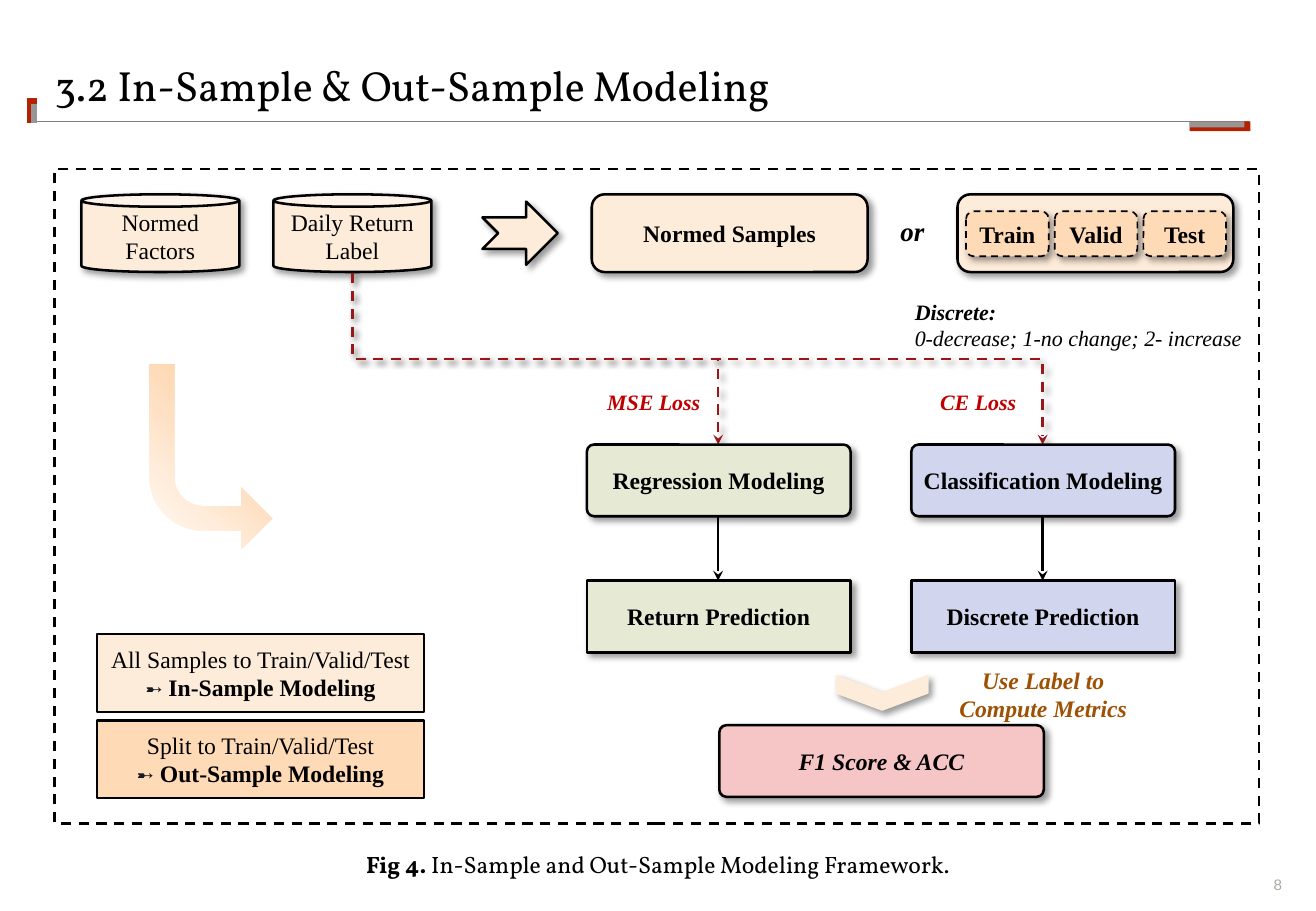
from dataclasses import dataclass

from lxml import etree
from pptx import Presentation
from pptx.dml.color import RGBColor
from pptx.enum.dml import MSO_LINE
from pptx.enum.shapes import MSO_CONNECTOR, MSO_SHAPE
from pptx.enum.text import MSO_ANCHOR, PP_ALIGN
from pptx.oxml.ns import qn
from pptx.util import Emu, Pt

PX = 9144  # 100 px to the inch

BLACK = RGBColor(0x00, 0x00, 0x00)
RULE_GRAY = RGBColor(0x80, 0x80, 0x80)
MARK_GRAY = RGBColor(0x96, 0x96, 0x96)
NUMBER_GRAY = RGBColor(0xAD, 0xAB, 0xA1)
MARK_RED = RGBColor(0xB4, 0x21, 0x00)
LOSS_RED = RGBColor(0xC0, 0x00, 0x00)
FLOW_RED = RGBColor(0x9B, 0x17, 0x17)
CREAM = RGBColor(0xFE, 0xEC, 0xDA)
PEACH = RGBColor(0xFE, 0xDA, 0xB6)
GREEN = RGBColor(0xE6, 0xEA, 0xD5)
BLUE = RGBColor(0xD1, 0xD5, 0xED)
PINK = RGBColor(0xF6, 0xC5, 0xC5)
BROWN = RGBColor(0x9F, 0x51, 0x03)
BULLET_INK = RGBColor(0x19, 0x1B, 0x1F)
BEND_STOPS = ((0, "FFFAF6"), (74, "FED5AD"), (83, "FED5AD"), (100, "FEE3C8"))


@dataclass(frozen=True)
class Run:
    text: str
    size: int = 14
    bold: bool = False
    italic: bool = False
    color: RGBColor = BLACK
    font: str = "Times New Roman"


Lines = tuple[tuple[Run, ...], ...]


@dataclass(frozen=True)
class Box:
    left: int
    top: int
    width: int
    height: int
    fill: RGBColor | None = None
    lines: Lines = ()
    kind: MSO_SHAPE = MSO_SHAPE.ROUNDED_RECTANGLE
    adjustments: tuple[float, ...] = ()
    line_color: RGBColor | None = BLACK
    line_width: float = 1.5
    dashed: bool = False
    shadow: bool = True
    rotation: int = 0
    inset: tuple[int, int] = (8, 8)


@dataclass(frozen=True)
class Label:
    left: int
    top: int
    width: int
    height: int
    lines: Lines
    align: PP_ALIGN = PP_ALIGN.LEFT
    anchor: MSO_ANCHOR = MSO_ANCHOR.TOP
    inset: tuple[int, int] = (0, 0)
    wrap: bool = True
    spacing: float = 1.0


@dataclass(frozen=True)
class Link:
    start: tuple[int, int]
    end: tuple[int, int]
    color: RGBColor = BLACK
    width: float = 1.5
    bent: bool = False
    arrow: bool = True


def write_text(text_frame, lines: Lines, align, anchor, inset: tuple[int, int], wrap=True, spacing=1.0) -> None:
    text_frame.word_wrap = wrap
    text_frame.vertical_anchor = anchor
    text_frame.margin_left = text_frame.margin_right = Emu(inset[0] * PX)
    text_frame.margin_top = text_frame.margin_bottom = Emu(inset[1] * PX)
    for index, line in enumerate(lines):
        paragraph = text_frame.add_paragraph() if index else text_frame.paragraphs[0]
        paragraph.text = line[0].text
        for extra in line[1:]:
            paragraph.add_run().text = extra.text
        paragraph.alignment = align
        paragraph.line_spacing = spacing
        for run, style in zip(paragraph.runs, line):
            run.font.name, run.font.size = style.font, Pt(style.size)
            run.font.bold, run.font.italic = style.bold, style.italic
            run.font.color.rgb = style.color


def add_shadow(effects) -> None:
    shadow = etree.SubElement(effects, qn("a:outerShdw"), blurRad=str(Pt(4)), dist=str(Pt(3)),
                              dir="2700000", algn="tl", rotWithShape="0")
    color = etree.SubElement(shadow, qn("a:srgbClr"), val="000000")
    etree.SubElement(color, qn("a:alpha"), val="40000")


def draw_box(slide, box: Box):
    shape = slide.shapes.add_shape(box.kind, *(Emu(n * PX) for n in (box.left, box.top, box.width, box.height)))
    shape.rotation = box.rotation
    for index, value in enumerate(box.adjustments):
        shape.adjustments[index] = value
    if box.fill is None:
        shape.fill.background()
    else:
        shape.fill.solid()
        shape.fill.fore_color.rgb = box.fill
    if box.line_color is None:
        shape.line.fill.background()
    else:
        shape.line.color.rgb = box.line_color
        shape.line.width = Pt(box.line_width)
        if box.dashed:
            shape.line.dash_style = MSO_LINE.DASH
    shape.shadow.inherit = False
    if box.shadow:
        add_shadow(shape._element.spPr.find(qn("a:effectLst")))
    if box.lines:
        write_text(shape.text_frame, box.lines, PP_ALIGN.CENTER, MSO_ANCHOR.MIDDLE, box.inset)
    return shape


def draw_label(slide, label: Label) -> None:
    shape = slide.shapes.add_textbox(*(Emu(n * PX) for n in (label.left, label.top, label.width, label.height)))
    write_text(shape.text_frame, label.lines, label.align, label.anchor, label.inset, label.wrap, label.spacing)


def draw_link(slide, link: Link) -> None:
    (x1, y1), (x2, y2) = link.start, link.end
    kind = MSO_CONNECTOR.STRAIGHT
    if link.bent:
        # A vertical-first elbow is a mirrored box turned by 270 degrees
        kind = MSO_CONNECTOR.ELBOW
        middle_x, middle_y, run, drop = (x1 + x2) / 2, (y1 + y2) / 2, x2 - x1, y2 - y1
        x1, x2 = middle_x + drop / 2, middle_x - drop / 2
        y1, y2 = middle_y - run / 2, middle_y + run / 2
    connector = slide.shapes.add_connector(kind, *(Emu(int(n * PX)) for n in (x1, y1, x2, y2)))
    connector.line.color.rgb = link.color
    connector.line.width = Pt(link.width)
    properties = connector._element.spPr
    if link.bent:
        properties.find(qn("a:xfrm")).set("rot", "16200000")
        connector.line.dash_style = MSO_LINE.DASH
    if link.arrow:
        etree.SubElement(properties.find(qn("a:ln")), qn("a:tailEnd"), type="stealth")
    effects = etree.SubElement(properties, qn("a:effectLst"))
    if link.bent:
        add_shadow(effects)


def draw_bend(slide) -> None:
    shape = draw_box(slide, Box(123, 300, 101, 152, kind=MSO_SHAPE.BENT_ARROW, rotation=180,
                                adjustments=(0.2, 0.25, 0.25, 0.44), line_color=None, shadow=False))
    shape._element.spPr.find(qn("a:xfrm")).set("flipH", "1")
    shape.fill.gradient()
    shape.fill.gradient_angle = 315
    stops = shape._element.spPr.find(qn("a:gradFill")).find(qn("a:gsLst"))
    for stop in list(stops):
        stops.remove(stop)
    for position, color in BEND_STOPS:
        stop = etree.SubElement(stops, qn("a:gs"), pos=str(position * 1000))
        etree.SubElement(stop, qn("a:srgbClr"), val=color)


def main() -> None:
    presentation = Presentation()
    presentation.slide_width, presentation.slide_height = Emu(1083 * PX), Emu(750 * PX)
    slide = presentation.slides.add_slide(presentation.slide_layouts[6])

    # Header, page number and caption
    for link in (Link((30, 100), (1028, 100), RULE_GRAY, 1, arrow=False),
                 Link((26, 101), (26, 81), MARK_RED, 6, arrow=False),
                 Link((28, 101), (28, 86), MARK_GRAY, 3, arrow=False)):
        draw_link(slide, link)
    for width, height, color in ((50, 8, MARK_RED), (45, 5, MARK_GRAY)):
        draw_box(slide, Box(979, 100, width, height, color, kind=MSO_SHAPE.RECTANGLE, line_color=None, shadow=False))
    draw_label(slide, Label(45, 40, 791, 59, ((Run("3.2 In-Sample & Out-Sample Modeling", 25, font="Vollkorn"),),),
                            anchor=MSO_ANCHOR.MIDDLE))
    draw_label(slide, Label(1024, 721, 31, 15, ((Run("8", 9, color=NUMBER_GRAY, font="Arial"),),),
                            PP_ALIGN.RIGHT, MSO_ANCHOR.BOTTOM))
    draw_label(slide, Label(179, 699, 725, 24, ((
        Run("Fig 4. ", bold=True, font="Vollkorn"),
        Run("In-Sample and Out-Sample Modeling Framework.", font="Vollkorn")),), PP_ALIGN.CENTER, MSO_ANCHOR.BOTTOM))

    # Frame and data row
    draw_box(slide, Box(45, 139, 991, 539, kind=MSO_SHAPE.RECTANGLE, dashed=True, shadow=False))
    for left, words in ((67, ("Normed", "Factors")), (225, ("Daily Return", "Label"))):
        draw_box(slide, Box(left, 160, 130, 64, CREAM, tuple((Run(word),) for word in words),
                            MSO_SHAPE.CAN, (0.16,), inset=(10, 5)))
    draw_box(slide, Box(397, 166, 62, 52, CREAM, kind=MSO_SHAPE.NOTCHED_RIGHT_ARROW))
    draw_box(slide, Box(487, 160, 227, 64, CREAM, ((Run("Normed Samples", bold=True),),)))
    draw_box(slide, Box(788, 160, 227, 64, CREAM))
    for index, name in enumerate(("Train", "Valid", "Test")):
        draw_box(slide, Box(795 + 73 * index, 174, 68, 37, PEACH, ((Run(name, bold=True),),),
                            line_width=1, dashed=True))
    draw_label(slide, Label(741, 180, 20, 24, ((Run("or", 16, True, True),),), wrap=False, spacing=0.9))

    # Model columns: loss, model, prediction
    for left, loss, model, prediction, color in (
            (483, "MSE Loss", "Regression Modeling", "Return Prediction", GREEN),
            (750, "CE Loss", "Classification Modeling", "Discrete Prediction", BLUE)):
        middle = left + 108
        draw_link(slide, Link((290, 225), (middle, 366), FLOW_RED, bent=True))
        draw_label(slide, Label(left, 315, 110, 32, ((Run(loss, 13, True, True, LOSS_RED),),),
                                PP_ALIGN.CENTER, inset=(10, 5)))
        for top, name, corner in ((366, model, 0.1), (478, prediction, 0)):
            draw_box(slide, Box(left, top, 217, 59, color, ((Run(name, bold=True),),), adjustments=(corner,)))
        draw_link(slide, Link((middle, 425), (middle, 478)))
    draw_label(slide, Label(743, 241, 294, 54, (
        (Run("Discrete:", 13, True, True),),
        (Run("0-decrease; 1-no change; 2- increase", 13, italic=True),)), inset=(10, 5)))

    # Metrics
    draw_box(slide, Box(712, 533, 28, 75, CREAM, kind=MSO_SHAPE.CHEVRON, rotation=90, line_color=CREAM, line_width=1))
    draw_box(slide, Box(592, 597, 267, 59, PINK, ((Run("F1 Score & ACC", bold=True, italic=True),),),
                        adjustments=(0.1,)))
    draw_label(slide, Label(789, 548, 139, 47, tuple(
        (Run(text, 14, True, True, BROWN),) for text in ("Use Label to", "Compute Metrics")),
        PP_ALIGN.CENTER, wrap=False))

    # Sample split
    draw_bend(slide)
    for top, split, mode, color in ((522, "All Samples to", "In-Sample", CREAM), (593, "Split to", "Out-Sample", PEACH)):
        draw_box(slide, Box(80, top, 269, 64, color, (
            (Run(f"{split} Train/Valid/Test"),),
            (Run("➸", 12, color=BULLET_INK, font="Roboto"), Run(" "), Run(f"{mode} Modeling", bold=True))),
            adjustments=(0,), shadow=False))

    presentation.save("out.pptx")


if __name__ == "__main__":
    main()
